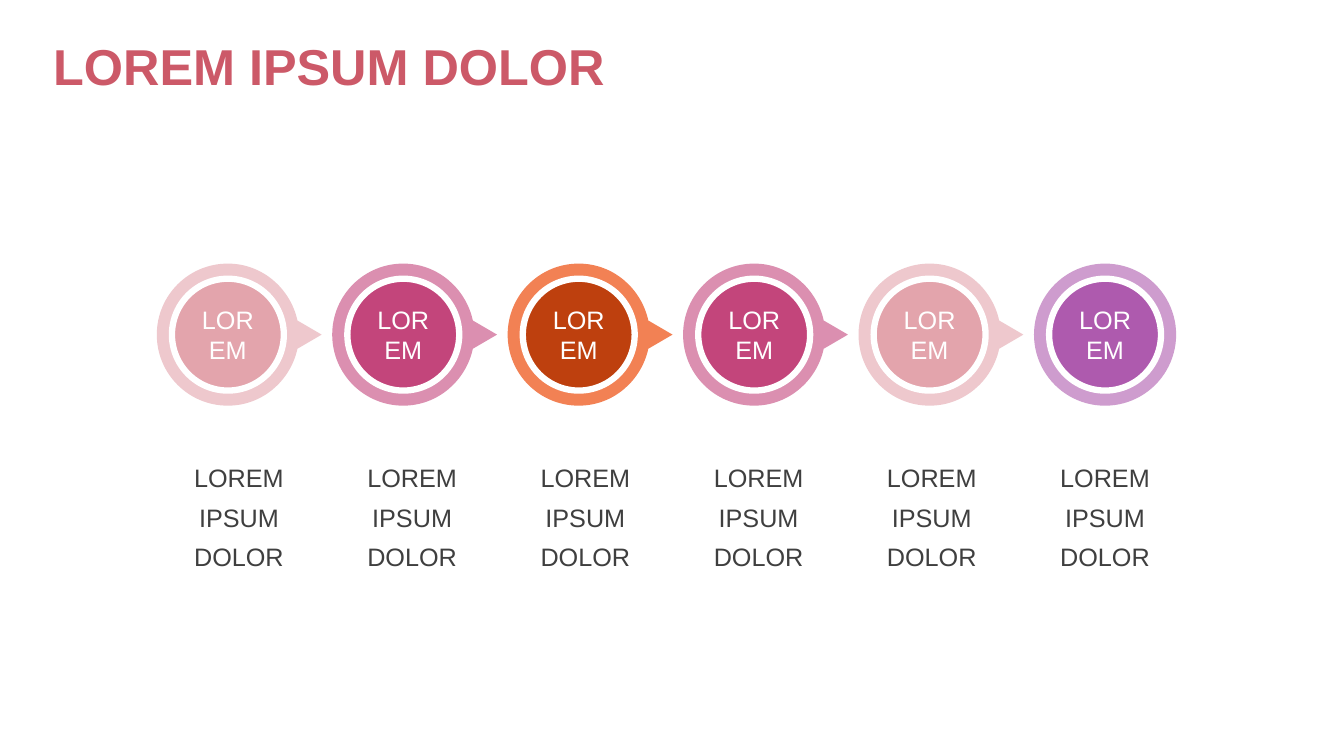
"""Build a slide with a six-step chain of ringed circles and captions."""
from lxml import etree
from pptx import Presentation
from pptx.dml.color import RGBColor
from pptx.enum.shapes import MSO_SHAPE as SHAPE
from pptx.enum.text import MSO_ANCHOR as ANCHOR, PP_ALIGN as ALIGN
from pptx.oxml.ns import qn
from pptx.util import Inches, Pt

TITLE = "LOREM IPSUM DOLOR"
STEPS = [
    ("LOREM", "LOREM IPSUM DOLOR", "EEC8CD", "E3A4AC"),
    ("LOREM", "LOREM IPSUM DOLOR", "DB8FB0", "C3457B"),
    ("LOREM", "LOREM IPSUM DOLOR", "F28154", "BE400E"),
    ("LOREM", "LOREM IPSUM DOLOR", "DB8FB0", "C3457B"),
    ("LOREM", "LOREM IPSUM DOLOR", "EEC8CD", "E3A4AC"),
    ("LOREM", "LOREM IPSUM DOLOR", "CE9CCE", "AE5AAE"),
]
WHITE, GREY, ROSE = "FFFFFF", "3F3F3F", "CC5968"
FIRST_X, PITCH, CENTER_Y = 2.26, 1.74, 3.32
RING, DISC = 1.41, 1.11
R, BEND, TIP = RING / 2, 0.39, 0.93
CAPTION_FIRST, CAPTION_LAST = 1.49, 10.08
CAPTION_TOP, CAPTION_W, CAPTION_H = 4.45, 1.76, 1.82
RING_CURVES = [
    [(0.34, -R), (0.62, -0.46), (0.69, -0.14)],
    [(TIP, 0)],
    [(0.69, 0.14)],
    [(0.62, 0.46), (0.34, R), (0, R)],
    [(-BEND, R), (-R, BEND), (-R, 0)],
    [(-R, -BEND), (-BEND, -R), (0, -R)],
]


def color(value):
    return RGBColor.from_string(value)


def paint(sp, fill, line=None):
    sp.shadow.inherit = False
    sp.fill.solid()
    sp.fill.fore_color.rgb = color(fill)
    if line:
        sp.line.color.rgb = color(line)
        sp.line.width = Pt(4.5)
    else:
        sp.line.fill.background()


def write(sp, text, size, ink, align, anchor, spacing=None, bold=False):
    tf = sp.text_frame
    tf.word_wrap = True
    tf.vertical_anchor = anchor
    p = tf.paragraphs[0]
    p.text = text
    p.alignment = align
    p.line_spacing = spacing
    font = p.runs[0].font
    font.name, font.size, font.bold = "Arial", Pt(size), bold
    font.color.rgb = color(ink)


def circle(shapes, x, diameter):
    return shapes.add_shape(SHAPE.OVAL, Inches(x - diameter / 2), Inches(CENTER_Y - diameter / 2),
                            Inches(diameter), Inches(diameter))


def pointed_ring(shapes, x):
    curves = [[(Inches(x + dx), Inches(CENTER_Y + dy)) for dx, dy in curve]
              for curve in RING_CURVES]
    builder = shapes.build_freeform(*curves[-1][-1])
    builder.add_line_segments([curve[-1] for curve in curves], close=True)
    sp = builder.convert_to_shape()
    for segment, curve in zip(list(sp._element.iter(qn("a:lnTo"))), curves):
        if len(curve) == 3:
            bezier = etree.Element(qn("a:cubicBezTo"))
            for px, py in curve:
                etree.SubElement(bezier, qn("a:pt"), x=str(px - sp.left), y=str(py - sp.top))
            segment.getparent().replace(segment, bezier)
    return sp


def main():
    prs = Presentation()
    prs.slide_width, prs.slide_height = Inches(13.33), Inches(7.5)
    shapes = prs.slides.add_slide(prs.slide_layouts[6]).shapes

    last = len(STEPS) - 1
    for i, (label, caption, ring_fill, disc_fill) in enumerate(STEPS):
        x = FIRST_X + i * PITCH
        ring = pointed_ring(shapes, x) if i < last else circle(shapes, x, RING)
        paint(ring, ring_fill)
        disc = circle(shapes, x, DISC)
        paint(disc, disc_fill, WHITE)
        write(disc, label, 18, WHITE, ALIGN.CENTER, ANCHOR.MIDDLE)
        left = CAPTION_FIRST + i * (CAPTION_LAST - CAPTION_FIRST) / last
        box = shapes.add_textbox(Inches(left), Inches(CAPTION_TOP),
                                 Inches(CAPTION_W), Inches(CAPTION_H))
        write(box, caption, 18, GREY, ALIGN.CENTER, ANCHOR.TOP, 1.3)

    title = shapes.add_textbox(Inches(0.43), Inches(0.28), Inches(8.44), Inches(0.73))
    write(title, TITLE, 36, ROSE, ALIGN.LEFT, ANCHOR.BOTTOM, 0.9, True)

    prs.save("out.pptx")


if __name__ == "__main__":
    main()
